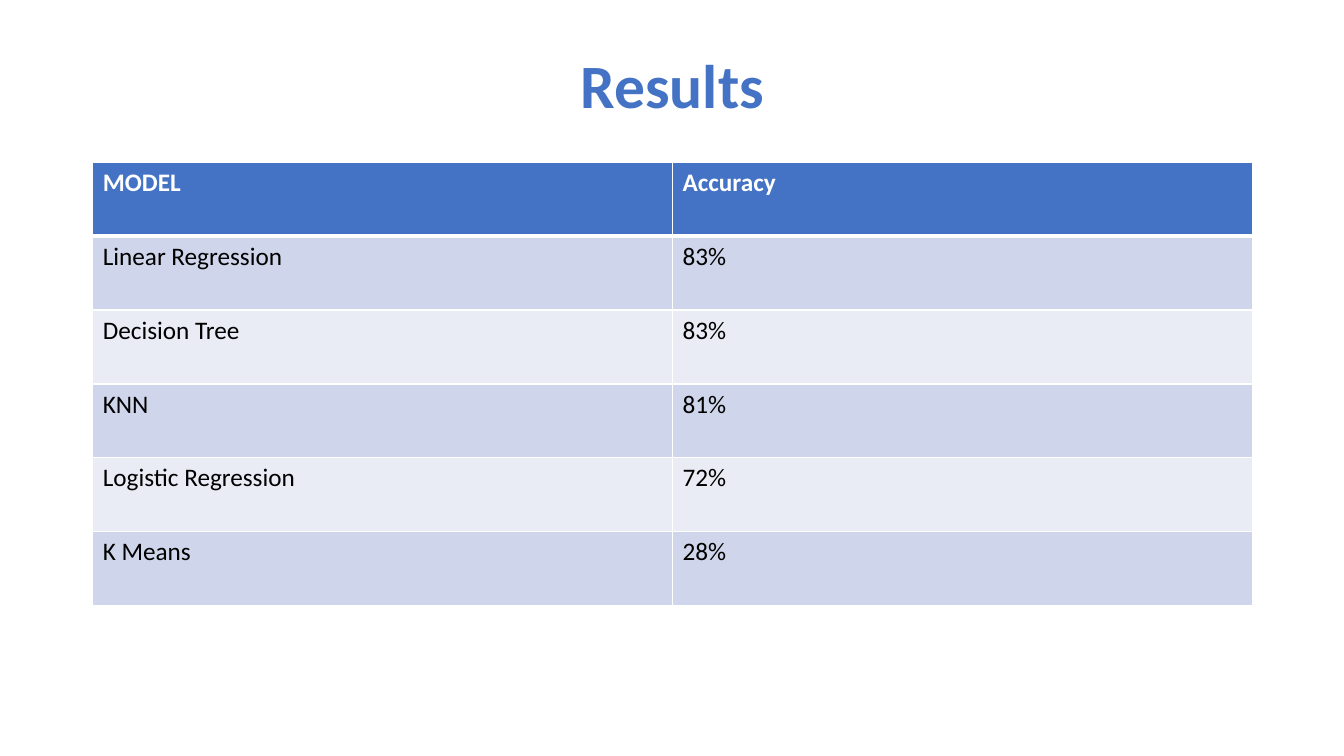
import pptx
import pptx.dml.color
import pptx.enum.text
import pptx.oxml
import pptx.oxml.ns
import pptx.util

SLIDE_WIDTH = pptx.util.Inches(13.33)
SLIDE_HEIGHT = pptx.util.Inches(7.5)
FONT = "Calibri"
BLUE, WHITE, BLACK = "4472C4", "FFFFFF", "000000"
BANDS = ("CFD5EA", "E9EBF5")
RESULTS = [
    ("MODEL", "Accuracy"),
    ("Linear Regression", "83%"),
    ("Decision Tree", "83%"),
    ("KNN", "81%"),
    ("Logistic Regression", "72%"),
    ("K Means", "28%"),
]


def rgb(value):
    """Turn a hex string into a colour."""
    return pptx.dml.color.RGBColor.from_string(value)


def inches(*lengths):
    """Turn lengths in inches into a list of slide units."""
    return [pptx.util.Inches(length) for length in lengths]


def add_text(paragraph, text, size, color, bold):
    """Add one formatted run to a paragraph."""
    run = paragraph.add_run()
    run.text = text
    run.font.name = FONT
    run.font.size = pptx.util.Pt(size)
    run.font.bold = bold
    run.font.color.rgb = rgb(color)


def add_borders(cell, widths):
    """Draw white cell borders; widths maps each side to points."""
    properties = cell._tc.get_or_add_tcPr()
    for position, (side, width) in enumerate(widths.items()):
        border = pptx.oxml.parse_xml(
            f'<a:ln{side} {pptx.oxml.ns.nsdecls("a")} w="{pptx.util.Pt(width)}">'
            f'<a:solidFill><a:srgbClr val="{WHITE}"/></a:solidFill></a:ln{side}>'
        )
        properties.insert(position, border)


def place_heading(slide, box):
    """Place the slide title in the given box."""
    heading = slide.shapes.title
    heading.left, heading.top, heading.width, heading.height = box
    heading.text_frame.vertical_anchor = pptx.enum.text.MSO_ANCHOR.MIDDLE
    paragraph = heading.text_frame.paragraphs[0]
    paragraph.alignment = pptx.enum.text.PP_ALIGN.CENTER
    paragraph.line_spacing = 0.9
    add_text(paragraph, "Results", 44, BLUE, True)


def place_accuracy_table(slide, box):
    """Fill the given box with the accuracy of each model, in even rows."""
    accuracy = slide.shapes.add_table(len(RESULTS), len(RESULTS[0]), *box).table
    for row, values in enumerate(RESULTS):
        is_header = row == 0
        fill = BLUE if is_header else BANDS[(row - 1) % 2]
        widths = {"L": 1, "R": 1, "T": 3 if row == 1 else 1, "B": 3 if is_header else 1}
        for column, value in enumerate(values):
            cell = accuracy.cell(row, column)
            cell.fill.solid()
            cell.fill.fore_color.rgb = rgb(fill)
            add_borders(cell, widths)
            add_text(cell.text_frame.paragraphs[0], value, 18,
                     WHITE if is_header else BLACK, is_header)


def build_results_slide(deck):
    """Add the results slide: a heading above a table."""
    slide = deck.slides.add_slide(deck.slide_layouts[5])
    place_heading(slide, inches(0.92, 0.4, 11.5, 0.96))
    place_accuracy_table(slide, inches(0.92, 1.61, 11.5, 4.4))


deck = pptx.Presentation()
deck.slide_width, deck.slide_height = SLIDE_WIDTH, SLIDE_HEIGHT
build_results_slide(deck)
deck.save("out.pptx")
